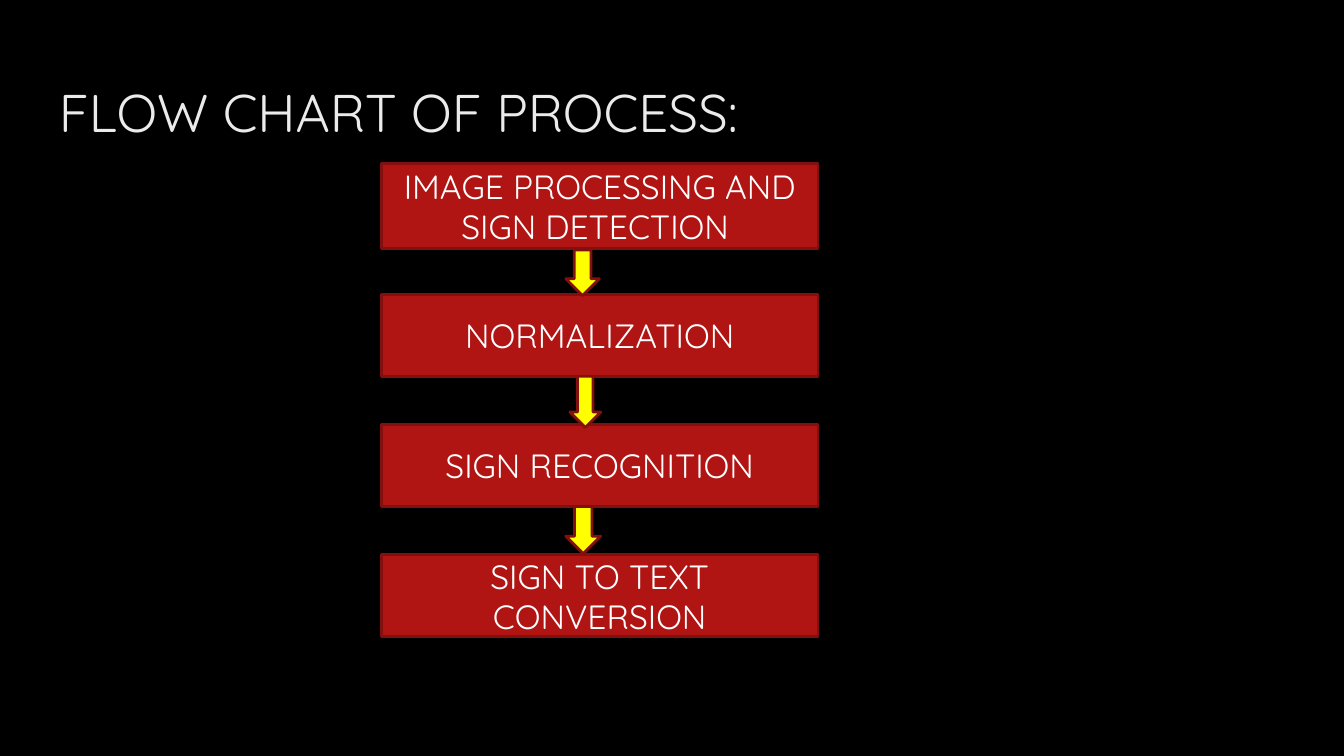
from pptx import Presentation
from pptx import util as u
from pptx.dml import color
from pptx.enum import shapes, text

FONT = "Quicksand"


def paint(code):
    return color.RGBColor.from_string(code)


def apply(item, **values):
    for name, value in values.items():
        setattr(item, name, value)


class Deck:
    fill, edge, arrow, ink, head = "B01513", "82100E", "FFFF00", "FFFFFF", "EBEBEB"

    def __init__(self, wide, high):
        self.show = Presentation()
        apply(self.show, slide_width=u.Pt(wide), slide_height=u.Pt(high))
        self.page = self.show.slides.add_slide(self.show.slide_layouts[6])
        back = self.page.background.fill
        back.solid()
        back.fore_color.rgb = paint("000000")

    def label(self, frame, words, size, shade, align):
        line = frame.paragraphs[0]
        line.alignment = align
        run = line.add_run()
        run.text = words
        apply(run.font, name=FONT, size=u.Pt(size))
        run.font.color.rgb = paint(shade)

    def title(self, words, *area):
        frame = self.page.shapes.add_textbox(*map(u.Pt, area)).text_frame
        pad = u.Pt(7.2)
        apply(frame, word_wrap=True, vertical_anchor=text.MSO_ANCHOR.TOP,
              margin_left=pad, margin_right=pad, margin_top=pad, margin_bottom=pad)
        self.label(frame, words, 28.4, self.head, text.PP_ALIGN.LEFT)

    def shape(self, kind, shade, *area):
        item = self.page.shapes.add_shape(kind, *map(u.Pt, area))
        item.shadow.inherit = False
        item.fill.solid()
        item.fill.fore_color.rgb = paint(shade)
        item.line.color.rgb = paint(self.edge)
        item.line.width = u.Pt(1.5)
        return item

    def step(self, words, *area):
        box = self.shape(shapes.MSO_SHAPE.RECTANGLE, self.fill, *area)
        apply(box.text_frame, word_wrap=True, vertical_anchor=text.MSO_ANCHOR.MIDDLE)
        self.label(box.text_frame, words, 18, self.ink, text.PP_ALIGN.CENTER)

    def down(self, *area):
        self.shape(shapes.MSO_SHAPE.DOWN_ARROW, self.arrow, *area)


def main():
    deck = Deck(720, 405)
    deck.title("FLOW CHART OF PROCESS:", 24.5, 35.3, 671, 45.4)
    steps = [("IMAGE PROCESSING AND SIGN DETECTION ", 45.4),
             ("NORMALIZATION", 44), ("SIGN RECOGNITION", 44),
             ("SIGN TO TEXT CONVERSION", 44)]
    top, pitch = 87.8, 69.8
    for row, (words, high) in enumerate(steps):
        deck.step(words, 204.3, top + row * pitch, 234, high)
    arrows = [(303.1, 133.9, 18, 24.5), (305.3, 201.6, 16.6, 27.4),
              (303.1, 271.4, 18.7, 25.2)]
    for area in arrows:
        deck.down(*area)
    deck.show.save("out.pptx")


if __name__ == "__main__":
    main()
